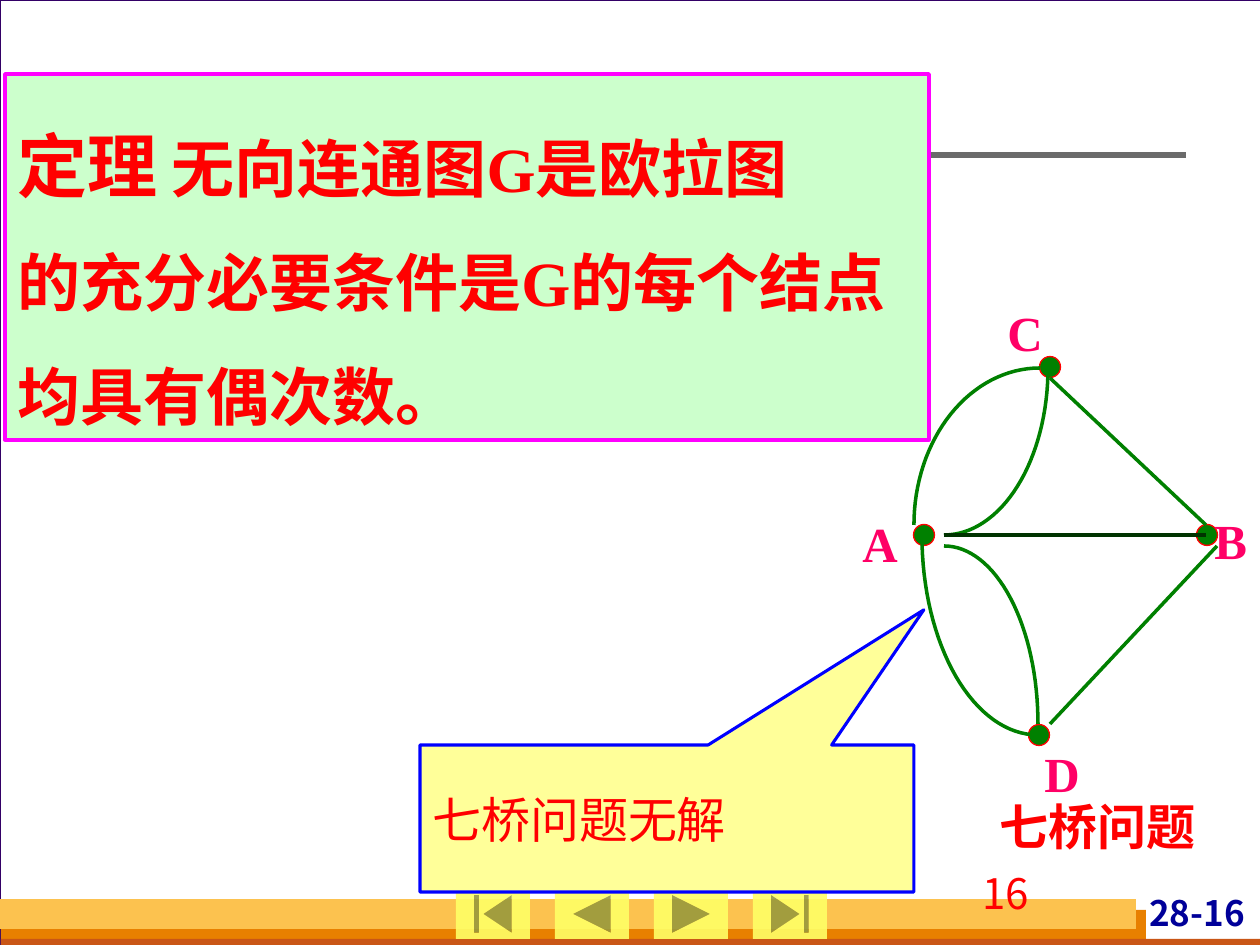
from math import cos, pi, sin

from lxml.etree import SubElement
from pptx import Presentation
from pptx.dml.color import RGBColor
from pptx.enum.shapes import MSO_CONNECTOR, MSO_SHAPE as SHAPE
from pptx.enum.text import MSO_ANCHOR as ANCHOR, MSO_AUTO_SIZE, PP_ALIGN as ALIGN
from pptx.oxml.ns import qn
from pptx.util import Pt

SCALE = 914400 / 126  # EMU per px
CJK, LATIN = "Noto Sans CJK SC", "Times New Roman"
RED, GREEN, PINK = "FF0000", "008000", "FF0066"


def px(*values):
    return [round(v * SCALE) for v in values]


def rgb(value):
    return RGBColor.from_string(value)


def set_face(font, name):
    """Set the Latin and the East Asian typeface."""
    font.name = name
    SubElement(font._rPr, qn("a:ea")).set("typeface", name)


def set_font(p, size, color, name=CJK, bold=False):
    f = p.font
    f.size, f.bold = Pt(size), bold
    f.color.rgb = rgb(color)
    set_face(f, name)


def set_line(sp, color, width):
    if color is None:
        sp.line.fill.background()
    else:
        sp.line.color.rgb = rgb(color)
        sp.line.width = Pt(width)


def add_shape(s, kind, box, fill, line=None, width=0.75):
    sp = s.shapes.add_shape(kind, *px(*box))
    sp.shadow.inherit = False
    sp.fill.solid()
    sp.fill.fore_color.rgb = rgb(fill)
    set_line(sp, line, width)
    return sp


def add_line(s, start, end, color, width):
    cn = s.shapes.add_connector(MSO_CONNECTOR.STRAIGHT, *px(*start, *end))
    set_line(cn, color, width)
    SubElement(cn._element.spPr, qn("a:effectLst"))


def add_text(s, box, text, size, color, name=CJK, bold=False, wrap=False):
    sp = s.shapes.add_textbox(*px(*box))
    tf = sp.text_frame
    tf.word_wrap = wrap
    p = tf.paragraphs[0]
    p.text = text
    set_font(p, size, color, name, bold)
    return tf


def add_arc(s, flat, steep, color, width, steps=32):
    """Quarter ellipse, level at the point flat and upright at steep."""
    (fx, fy), (sx, sy) = flat, steep
    angles = [pi / 2 * i / steps for i in range(steps + 1)]
    points = [px(fx + (sx - fx) * sin(t), sy + (fy - sy) * cos(t)) for t in angles]
    fb = s.shapes.build_freeform(*points[0])
    fb.add_line_segments(points[1:], close=False)
    sp = fb.convert_to_shape()
    sp.shadow.inherit = False
    sp.fill.background()
    set_line(sp, color, width)


def frame(s, x, y, w, h):
    """Page border, footer bars, page mark and title rule."""
    add_shape(s, SHAPE.RECTANGLE, (x, y, w + 1, h), "FFFFFF", "330066")
    for dx, up, bw, bh, color in [(1, 35, 1145, 35, "E88000"),
                                  (1, 6, w, 10, "C95616"),
                                  (0, 46, 1136, 30, "FCC24F")]:
        add_shape(s, SHAPE.RECTANGLE, (x + dx, y + h - up, bw, bh), color)
    tf = add_text(s, (x + 1096, y + 892, 154, 48), "28-16", 20, "000099",
                  bold=True, wrap=True)
    tf.margin_left = tf.margin_right = px(5)[0]
    tf.margin_top = tf.margin_bottom = 0
    tf.paragraphs[0].alignment = ALIGN.RIGHT
    add_line(s, (x + 74, y + 155), (x + 1186, y + 155), "6B6B6B", 3)


def navigation(s, x, y, w, h, pitch):
    """Row of slide show buttons."""
    kinds = [SHAPE.ACTION_BUTTON_BEGINNING, SHAPE.ACTION_BUTTON_BACK_OR_PREVIOUS,
             SHAPE.ACTION_BUTTON_FORWARD_OR_NEXT, SHAPE.ACTION_BUTTON_END]
    for i, kind in enumerate(kinds):
        sp = add_shape(s, kind, (x + i * pitch, y, w, h), "FFFF66")
        color = sp._element.spPr.find(".//" + qn("a:srgbClr"))
        SubElement(color, qn("a:alpha")).set("val", "90000")


def bridge_graph(s, x, y):
    """The seven bridges as a graph on the nodes A, B, C and D."""
    def at(dx, dy):
        return x + dx, y + dy

    # Nodes
    d = 21
    for cx, cy in [(189, 439), (357, 239), (74, 239), (200, 71)]:
        add_shape(s, SHAPE.OVAL, (*at(cx - d / 2, cy - d / 2), d, d), GREEN, RED)
    # Edges
    for start, end in [((356, 229), (200, 82)), ((200, 428), (367, 250))]:
        add_line(s, at(*start), at(*end), GREEN, 2)
    for flat, steep in [((190, 72), (64, 229)), ((94, 250), (188, 428)),
                        ((94, 239), (198, 72)), ((188, 439), (72, 239))]:
        add_arc(s, at(*flat), at(*steep), GREEN, 2)
    add_line(s, at(94, 239), at(356, 239), "003300", 2)
    # Labels
    for name, dx, dy in [("C", 145, 0), ("D", 182, 441), ("A", 0, 211), ("B", 352, 208)]:
        add_text(s, (*at(dx, dy), 60, 72), name, 28, PINK, LATIN, True)
    add_text(s, (*at(137, 494), 232, 72), "七桥问题", 28, RED, bold=True)


def theorem(s, x, y, w, h):
    """Framed statement of the theorem."""
    lines = [[("定理", CJK), (" 无向连通图", CJK), ("G", LATIN), ("是欧拉图", CJK)],
             [("的充分必要条件是", CJK), ("G", LATIN), ("的每个结点", CJK)],
             [("均具有偶次数。", CJK)]]
    sp = add_shape(s, SHAPE.RECTANGLE, (x, y, w, h), "CCFFCC", "FF00FF", 2)
    tf = sp.text_frame
    tf.word_wrap = False
    tf.auto_size = MSO_AUTO_SIZE.SHAPE_TO_FIT_TEXT
    tf.vertical_anchor = ANCHOR.TOP
    for i, line in enumerate(lines):
        p = tf.add_paragraph() if i else tf.paragraphs[0]
        p.alignment, p.line_spacing = ALIGN.LEFT, 1.5
        set_font(p, 36, RED, bold=True)
        for text, name in line:
            r = p.add_run()
            r.text = text
            set_face(r.font, name)
    tf.paragraphs[0].runs[0].font.size = Pt(40)


def callout(s, x, y, w, h):
    """Remark pointing at the graph."""
    sp = add_shape(s, SHAPE.RECTANGULAR_CALLOUT, (x, y, w, h), "FFFF99", "0000FF", 1.75)
    sp.adjustments[0], sp.adjustments[1] = 0.52, -1.42
    tf = sp.text_frame
    tf.vertical_anchor = ANCHOR.MIDDLE
    p = tf.paragraphs[0]
    p.text, p.alignment = "七桥问题无解", ALIGN.LEFT
    set_font(p, 28, RED)


def main():
    prs = Presentation()
    prs.slide_width, prs.slide_height = px(1260, 945)
    s = prs.slides.add_slide(prs.slide_layouts[6])
    s.background.fill.solid()
    s.background.fill.fore_color.rgb = rgb("D8DADA")
    frame(s, 0, 0, 1260, 945)
    navigation(s, 456, 889, 74, 50, 99)
    bridge_graph(s, 850, 296)
    theorem(s, 5, 74, 924, 366)
    callout(s, 420, 745, 494, 147)
    add_text(s, (970, 861, 262, 63), "16", 24, RED, wrap=True)
    prs.save("out.pptx")


if __name__ == "__main__":
    main()
